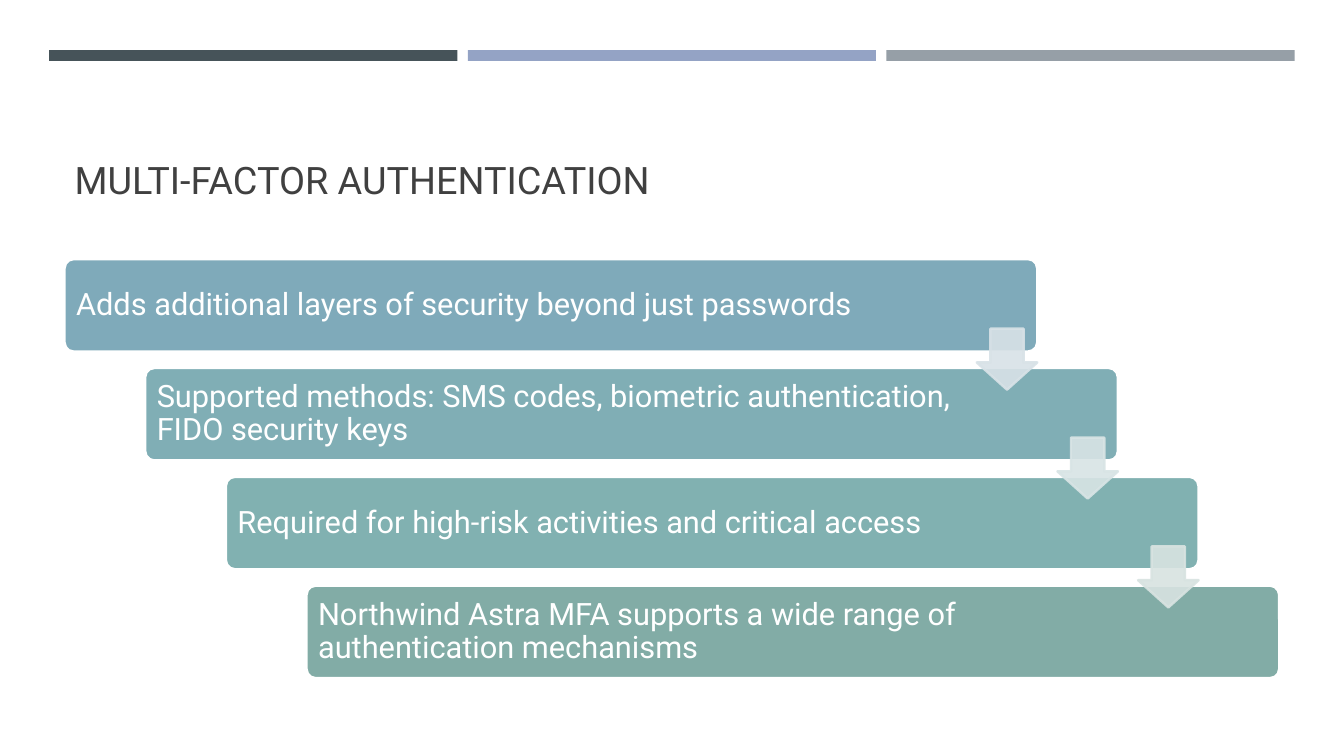
from dataclasses import dataclass

from lxml import etree
from pptx import Presentation
from pptx.dml.color import RGBColor
from pptx.enum.shapes import MSO_SHAPE
from pptx.enum.text import MSO_ANCHOR, MSO_AUTO_SIZE, PP_ALIGN
from pptx.oxml.ns import qn
from pptx.util import Inches, Pt

RECTANGLE = MSO_SHAPE.RECTANGLE
ROUNDED = MSO_SHAPE.ROUNDED_RECTANGLE
DOWN_ARROW = MSO_SHAPE.DOWN_ARROW
MIDDLE = MSO_ANCHOR.MIDDLE
BOTTOM = MSO_ANCHOR.BOTTOM
NO_AUTOFIT = MSO_AUTO_SIZE.NONE
LEFT = PP_ALIGN.LEFT

FONT = "Roboto"
COLUMN = Inches(0.8)
ROW = Inches(1.08)
OUTLINE = Pt(1.75)
ARROW_OPACITY = 90

COLORS = {
    "white": "FFFFFF",
    "title": "404040",
    "slate": "465359",
    "periwinkle": "94A3C5",
    "gray": "969FA7",
    "blue": "7FAABA",
    "cyan": "80AEB5",
    "teal": "81B1B1",
    "green": "82ACA6",
    "pale blue": "D8E2E7",
    "pale cyan": "D8E4E5",
    "pale green": "D8E3E1",
}


@dataclass(frozen=True)
class Area:
    column: float
    row: float
    columns: float
    rows: float

    def moved(self, columns: float, rows: float) -> "Area":
        return Area(self.column + columns, self.row + rows, self.columns, self.rows)

    def place(self) -> tuple[int, int, int, int]:
        return (round(self.column * COLUMN), round(self.row * ROW),
                round(self.columns * COLUMN), round(self.rows * ROW))


@dataclass(frozen=True)
class Step:
    text: str
    color: str


BAR_AREA = Area(0.61, 0.46, 5.06, 0.1)
BAR_PITCH = 5.19
TITLE_AREA = Area(0.8, 0.71, 15.07, 1.2)
STEP_AREA = Area(0.8, 2.38, 12.06, 0.85)
ARROW_AREA = Area(12.11, 3.02, 0.75, 0.56)

BARS = ["slate", "periwinkle", "gray"]
STEPS = [
    Step("Adds additional layers of security beyond just passwords", "blue"),
    Step("Supported methods: SMS codes, biometric authentication, FIDO security keys", "cyan"),
    Step("Required for high-risk activities and critical access", "teal"),
    Step("Northwind Astra MFA supports a wide range of authentication mechanisms", "green"),
]
ARROWS = ["pale blue", "pale cyan", "pale green"]


def color_of(name: str) -> RGBColor:
    return RGBColor.from_string(COLORS[name])


def style_text(frame, text: str, size: float, color: str) -> None:
    frame.text = text
    frame.word_wrap = True
    frame.auto_size = NO_AUTOFIT
    para = frame.paragraphs[0]
    para.alignment = LEFT
    para.line_spacing = 0.9
    para.font.name = FONT
    para.font.size = Pt(size)
    para.font.color.rgb = color_of(color)


def draw_shape(page, kind, area: Area, fill: str, line: str | None = None):
    shape = page.shapes.add_shape(kind, *area.place())
    shape.shadow.inherit = False
    shape.fill.solid()
    shape.fill.fore_color.rgb = color_of(fill)
    if line:
        shape.line.color.rgb = color_of(line)
        shape.line.width = OUTLINE
    else:
        shape.line.fill.background()
    return shape


def draw_title(page, text: str) -> None:
    title = page.shapes.title
    title.left, title.top, title.width, title.height = TITLE_AREA.place()
    title.text_frame.vertical_anchor = BOTTOM
    style_text(title.text_frame, text, 27, "title")


def draw_step(page, index: int, step: Step) -> None:
    box = draw_shape(page, ROUNDED, STEP_AREA.moved(index, index), step.color, "white")
    box.adjustments[0] = 0.1
    frame = box.text_frame
    frame.vertical_anchor = MIDDLE
    frame.margin_left = round(0.11 * COLUMN)
    frame.margin_right = round(1.9 * COLUMN)
    style_text(frame, step.text, 22, "white")


def draw_arrow(page, index: int, color: str) -> None:
    arrow = draw_shape(page, DOWN_ARROW, ARROW_AREA.moved(index, index), color, color)
    arrow.adjustments[0] = 0.45
    arrow.adjustments[1] = 0.55
    arrow.adjustments[0], arrow.adjustments[1] = 0.55, 0.45
    for tint in arrow.element.spPr.iter(qn("a:srgbClr")):
        etree.SubElement(tint, qn("a:alpha"), val=str(ARROW_OPACITY * 1000))


def main() -> None:
    deck = Presentation()
    deck.slide_width = Inches(13.33)
    deck.slide_height = Inches(7.5)
    page = deck.slides.add_slide(deck.slide_layouts.get_by_name("Title Only"))
    for index, color in enumerate(BARS):
        draw_shape(page, RECTANGLE, BAR_AREA.moved(index * BAR_PITCH, 0), color)
    draw_title(page, "MULTI-FACTOR AUTHENTICATION")
    for index, step in enumerate(STEPS):
        draw_step(page, index, step)
    for index, color in enumerate(ARROWS):
        draw_arrow(page, index, color)
    deck.save("out.pptx")


if __name__ == "__main__":
    main()
